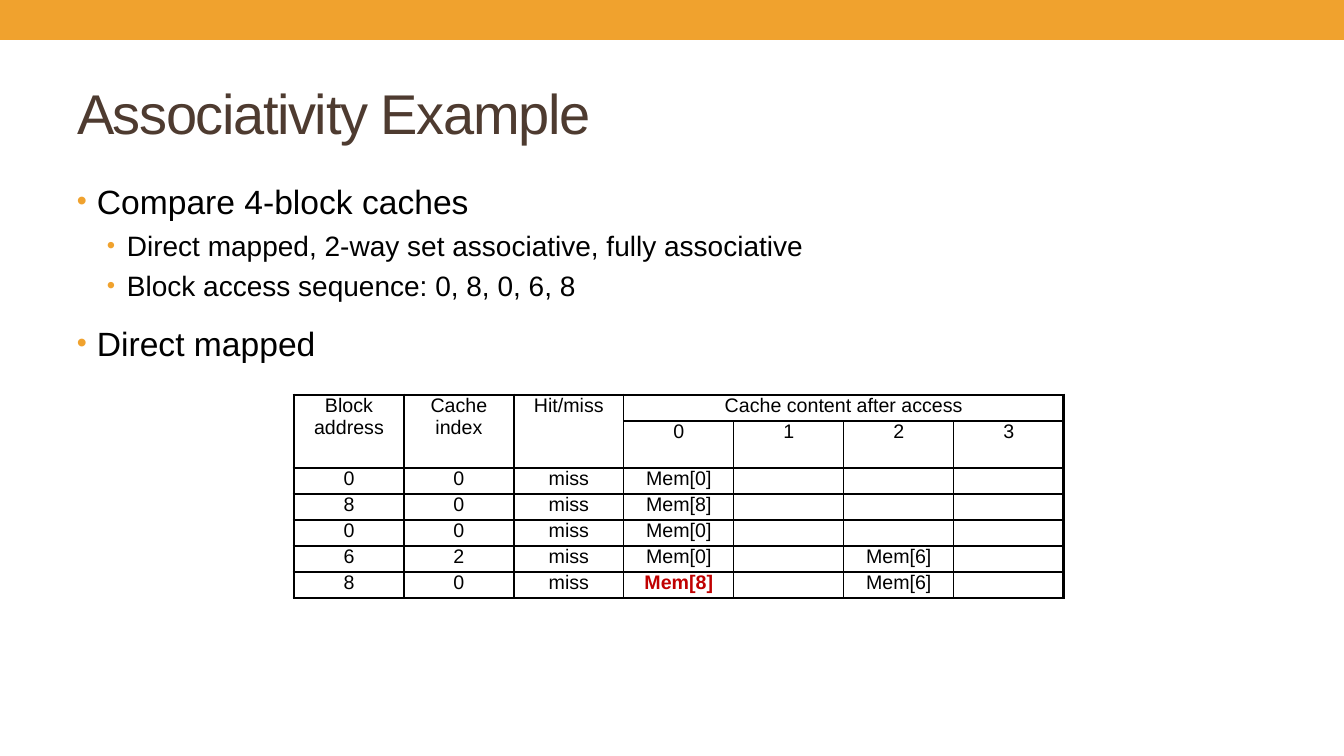
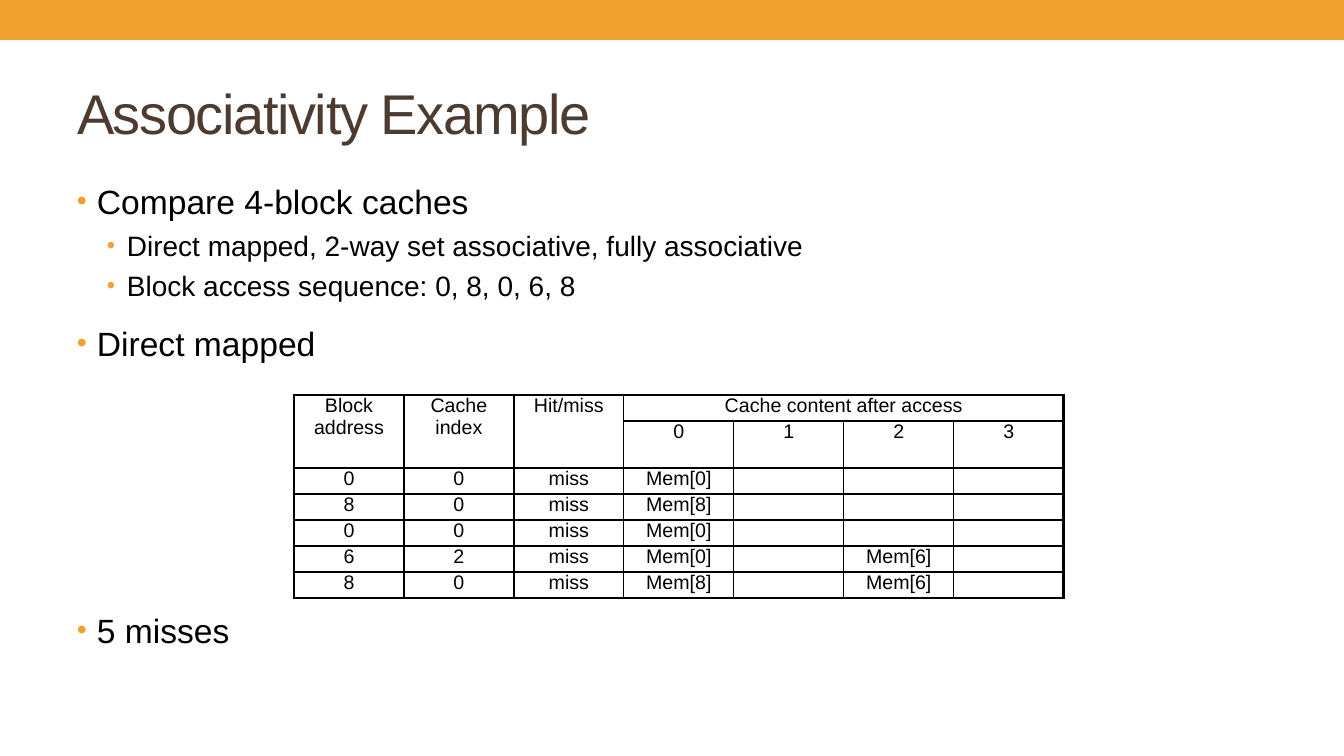
from lxml.etree import SubElement
from pptx import Presentation
from pptx.dml.color import RGBColor
from pptx.enum.shapes import MSO_SHAPE
from pptx.enum.text import MSO_ANCHOR, PP_ALIGN
from pptx.oxml.ns import qn
from pptx.util import Emu, Pt

RECTANGLE = MSO_SHAPE.RECTANGLE
MIDDLE = MSO_ANCHOR.MIDDLE
LEFT, CENTER = PP_ALIGN.LEFT, PP_ALIGN.CENTER

PAGE_WIDTH, PAGE_HEIGHT = 1344, 756
SCALE = 12192000 / PAGE_WIDTH
TITLE_ONLY = 5
FONT = "Arial"
ORANGE, BROWN, BLACK, RED = "F0A22E", "4E3B30", "000000", "C00000"

BAND_BOX = (0, 0, PAGE_WIDTH, 40)
TITLE_BOX = (67, 58, 1210, 109)
BODY_BOX = (67, 176, 1210, 537)
TABLE_BOX = (294, 395, 770, 200)

TITLE = "Associativity Example"
LEVEL_SIZES = (24, 20)
LEVEL_MARGINS = (20, 50)
HANGING = 20
POINTS = [
    (0, 0, "Compare 4-block caches"),
    (1, 7, "Direct mapped, 2-way set associative, fully associative"),
    (1, 7, "Block access sequence: 0, 8, 0, 6, 8"),
    (0, 20, "Direct mapped"),
]
CONCLUSION = (0, 247, "5 misses")

TABLE_SIZE = 14
ROW_HEIGHTS = (26, 44, 26, 26, 26, 26, 26)
OUTER_LINE, INNER_LINE = 2.25, 1
MERGES = [((0, 0), (1, 0)), ((0, 1), (1, 1)), ((0, 2), (1, 2)), ((0, 3), (0, 6))]
ACCESSES = [
    ("Block address", "Cache index", "Hit/miss", "Cache content after access", "", "", ""),
    ("", "", "", "0", "1", "2", "3"),
    ("0", "0", "miss", "Mem[0]", "", "", ""),
    ("8", "0", "miss", "Mem[8]", "", "", ""),
    ("0", "0", "miss", "Mem[0]", "", "", ""),
    ("6", "2", "miss", "Mem[0]", "", "Mem[6]", ""),
    ("8", "0", "miss", "Mem[8]", "", "Mem[6]", ""),
]
LAST_ACCESS = (6, 3)


def px(length):
    """Turn whole pixels into EMU."""
    return Emu(round(length * SCALE))


def place(box):
    """Turn a pixel box into EMU lengths."""
    return [px(length) for length in box]


def color(value):
    """Turn a hex string into a colour."""
    return RGBColor.from_string(value)


def write(para, text, size, ink=BLACK, bold=False, align=LEFT, before=0, spacing=0):
    """Write one formatted span into a paragraph."""
    para.alignment = align
    para.space_before = px(before)
    span = para.add_run()
    span.text = text
    span.font.name = FONT
    span.font.size = Pt(size)
    span.font.bold = bold
    span.font.color.rgb = color(ink)
    if spacing:
        span.font._element.set("spc", str(spacing * 100))


def add_bullet(para, level):
    """Give a paragraph a hanging orange bullet."""
    para.level = level
    properties = para._p.get_or_add_pPr()
    properties.set("marL", str(px(LEVEL_MARGINS[level])))
    properties.set("indent", str(px(-HANGING)))
    tint = SubElement(properties, qn("a:buClr"))
    SubElement(tint, qn("a:srgbClr"), val=ORANGE)
    SubElement(properties, qn("a:buSzPct"), val="85000")
    SubElement(properties, qn("a:buFont"), typeface=FONT)
    SubElement(properties, qn("a:buChar"), char="•")


def add_band(page, box):
    """Draw the band along the top of a page."""
    band = page.shapes.add_shape(RECTANGLE, *place(box))
    band.shadow.inherit = False
    band.fill.solid()
    band.fill.fore_color.rgb = color(ORANGE)
    band.line.fill.background()


def add_title(page, box):
    """Place and format the page title."""
    title = page.shapes.title
    title.left, title.top, title.width, title.height = place(box)
    frame = title.text_frame
    frame.word_wrap = True
    frame.vertical_anchor = MIDDLE
    write(frame.paragraphs[0], TITLE, 40, ink=BROWN, spacing=-1)


def add_points(page, box, points):
    """Write the bulleted points of a page."""
    frame = page.shapes.add_textbox(*place(box)).text_frame
    frame.word_wrap = True
    for index, (level, before, text) in enumerate(points):
        para = frame.add_paragraph() if index else frame.paragraphs[0]
        write(para, text, LEVEL_SIZES[level], before=before)
        add_bullet(para, level)


def add_borders(cell, edges):
    """Draw the four cell borders, heavy where a side is on the table edge."""
    properties = cell._tc.get_or_add_tcPr()
    for side, outer in zip("LRTB", edges):
        width = Pt(OUTER_LINE if outer else INNER_LINE)
        line = SubElement(properties, qn(f"a:ln{side}"), w=str(width))
        fill = SubElement(line, qn("a:solidFill"))
        SubElement(fill, qn("a:srgbClr"), val=BLACK)


def fill_cell(cell, text, edges, marked):
    """Format one cell and write its text."""
    cell.margin_left = cell.margin_right = px(10)
    cell.margin_top = cell.margin_bottom = 0
    add_borders(cell, edges)
    cell.fill.background()
    para = cell.text_frame.paragraphs[0]
    if text:
        write(para, text, TABLE_SIZE, ink=RED if marked else BLACK, bold=marked, align=CENTER)
    else:
        SubElement(para._p, qn("a:endParaRPr"), sz=str(TABLE_SIZE * 100))


def add_cache_table(page, box, marked_cell):
    """Build the table of cache accesses."""
    row_count, column_count = len(ACCESSES), len(ACCESSES[0])
    table = page.shapes.add_table(row_count, column_count, *place(box)).table
    table.first_row = table.horz_banding = False
    for column in table.columns:
        column.width = px(box[2] // column_count)
    for row, height in zip(table.rows, ROW_HEIGHTS):
        row.height = px(height)
    for first, last in MERGES:
        table.cell(*first).merge(table.cell(*last))
    for row, texts in enumerate(ACCESSES):
        for column, text in enumerate(texts):
            cell = table.cell(row, column)
            edges = (
                column == 0,
                column + cell.span_width == column_count,
                row == 0,
                row + cell.span_height == row_count,
            )
            fill_cell(cell, text, edges, (row, column) == marked_cell)


def add_example(deck, points, marked_cell=None):
    """Add one associativity example page."""
    page = deck.slides.add_slide(deck.slide_layouts[TITLE_ONLY])
    add_band(page, BAND_BOX)
    add_title(page, TITLE_BOX)
    add_points(page, BODY_BOX, points)
    add_cache_table(page, TABLE_BOX, marked_cell)


def main():
    """Build and save the deck."""
    deck = Presentation()
    deck.slide_width, deck.slide_height = px(PAGE_WIDTH), px(PAGE_HEIGHT)
    add_example(deck, POINTS, marked_cell=LAST_ACCESS)
    add_example(deck, POINTS + [CONCLUSION])
    deck.save("out.pptx")


if __name__ == "__main__":
    main()
